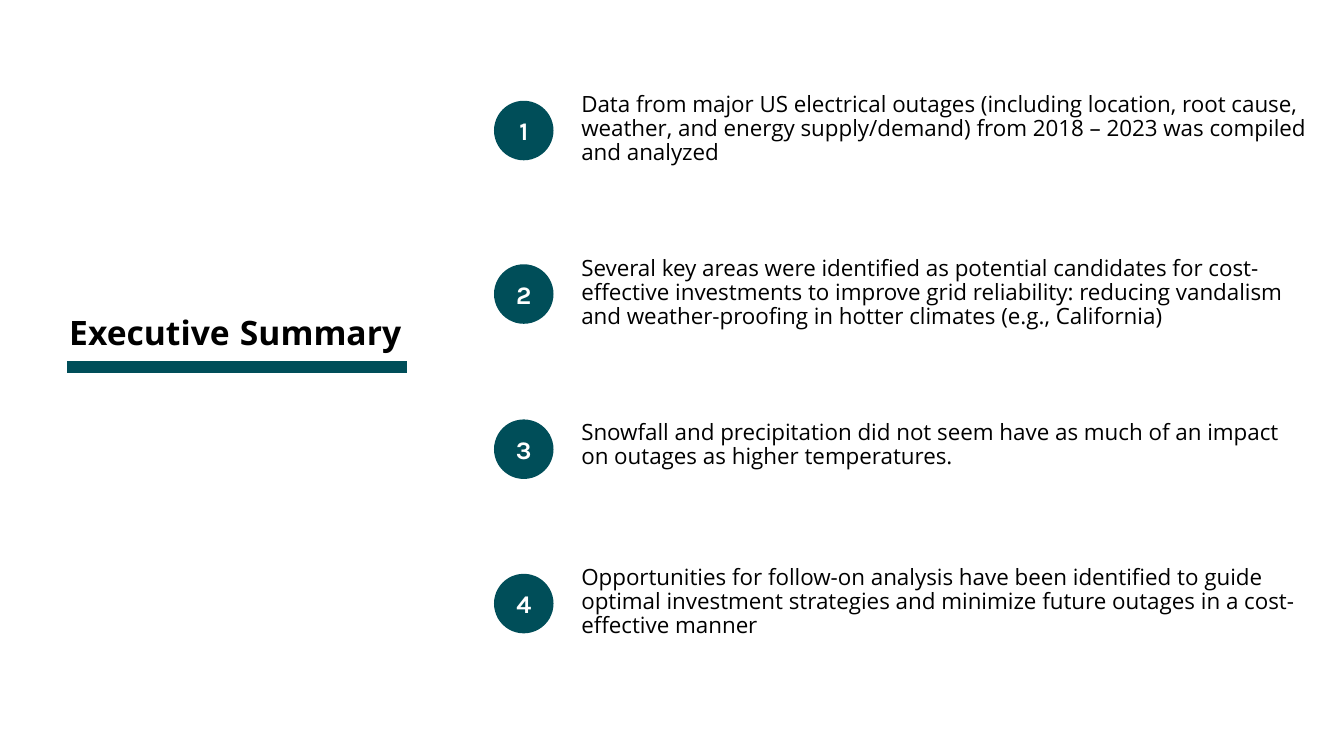
from dataclasses import dataclass

import lxml.etree
import pptx
import pptx.dml.color
import pptx.enum.shapes
import pptx.enum.text
import pptx.oxml.ns
import pptx.slide
import pptx.text.text
import pptx.util
from pptx.util import Cm

Align = pptx.enum.text.PP_ALIGN


@dataclass(frozen=True)
class Theme:
    teal: str = "004E59"
    black: str = "000000"
    white: str = "FFFFFF"
    text_font: str = "Open Sans"
    number_font: str = "Karla"
    title_size: int = 24
    title_gap_size: int = 28
    number_size: int = 18
    body_size: int = 16
    title_spacing: float = 0.85
    body_spacing: float = 0.89
    rule_width: int = 9


@dataclass(frozen=True)
class Finding:
    circle_top: float
    text_top: float
    text: str
    text_width: float = 18.49
    text_height: float = 2.11


THEME = Theme()
CIRCLE_LEFT, CIRCLE_SIZE = 12.45, 1.5
TEXT_LEFT = 14.4

FINDINGS = [
    Finding(2.54, 2.24, "Data from major US electrical outages (including location, root cause, "
            "weather, and energy supply/demand) from 2018 – 2023 was compiled and analyzed",
            text_width=19.47),
    Finding(6.66, 6.36, "Several key areas were identified as potential candidates for "
            "cost-effective investments to improve grid reliability: reducing vandalism "
            "and weather-proofing in hotter climates (e.g., California)"),
    Finding(10.57, 10.49, "Snowfall and precipitation did not seem have as much of an impact "
            "on outages as higher temperatures.", text_height=1.65),
    Finding(14.46, 14.15, "Opportunities for follow-on analysis have been identified to guide "
            "optimal investment strategies and minimize future outages in a "
            "cost-effective manner"),
]


def rgb(color: str) -> pptx.dml.color.RGBColor:
    return pptx.dml.color.RGBColor.from_string(color)


def add_run(para: pptx.text.text._Paragraph, text: str, font: str, size: int,
            color: str, bold: bool = False) -> None:
    run = para.add_run()
    run.text = text
    run.font.name = font
    run.font.size = pptx.util.Pt(size)
    run.font.bold = bold
    run.font.color.rgb = rgb(color)


def add_title(page: pptx.slide.Slide) -> None:
    box = page.shapes.add_textbox(Cm(1.42), Cm(7.77), Cm(8.94), Cm(1.27))
    box.text_frame.word_wrap = True
    para = box.text_frame.paragraphs[0]
    para.alignment = Align.RIGHT
    para.line_spacing = THEME.title_spacing
    for text, size in (("Executive", THEME.title_size), (" ", THEME.title_gap_size),
                       ("Summary", THEME.title_size)):
        add_run(para, text, THEME.text_font, size, THEME.black, bold=True)


def add_title_rule(page: pptx.slide.Slide) -> None:
    rule = page.shapes.add_connector(pptx.enum.shapes.MSO_CONNECTOR.STRAIGHT,
                                     Cm(1.7), Cm(9.25), Cm(10.26), Cm(9.25))
    rule.line.color.rgb = rgb(THEME.teal)
    rule.line.width = pptx.util.Pt(THEME.rule_width)
    properties = rule._element.spPr
    lxml.etree.SubElement(properties, pptx.oxml.ns.qn("a:effectLst"))


def add_finding(page: pptx.slide.Slide, number: int, finding: Finding) -> None:
    circle = page.shapes.add_shape(pptx.enum.shapes.MSO_SHAPE.OVAL, Cm(CIRCLE_LEFT),
                                   Cm(finding.circle_top), Cm(CIRCLE_SIZE), Cm(CIRCLE_SIZE))
    circle.shadow.inherit = False
    circle.fill.solid()
    circle.fill.fore_color.rgb = rgb(THEME.teal)
    circle.line.fill.background()
    circle.text_frame.vertical_anchor = pptx.enum.text.MSO_ANCHOR.MIDDLE
    para = circle.text_frame.paragraphs[0]
    para.alignment = Align.CENTER
    add_run(para, str(number), THEME.number_font, THEME.number_size, THEME.white, bold=True)

    box = page.shapes.add_textbox(Cm(TEXT_LEFT), Cm(finding.text_top),
                                  Cm(finding.text_width), Cm(finding.text_height))
    box.text_frame.word_wrap = True
    para = box.text_frame.paragraphs[0]
    para.line_spacing = THEME.body_spacing
    add_run(para, finding.text, THEME.text_font, THEME.body_size, THEME.black)


def main() -> None:
    deck = pptx.Presentation()
    deck.slide_width, deck.slide_height = Cm(33.87), Cm(19.05)
    page = deck.slides.add_slide(deck.slide_layouts[6])
    add_title_rule(page)
    add_title(page)
    for number, finding in enumerate(FINDINGS, start=1):
        add_finding(page, number, finding)
    deck.save("out.pptx")


if __name__ == "__main__":
    main()
